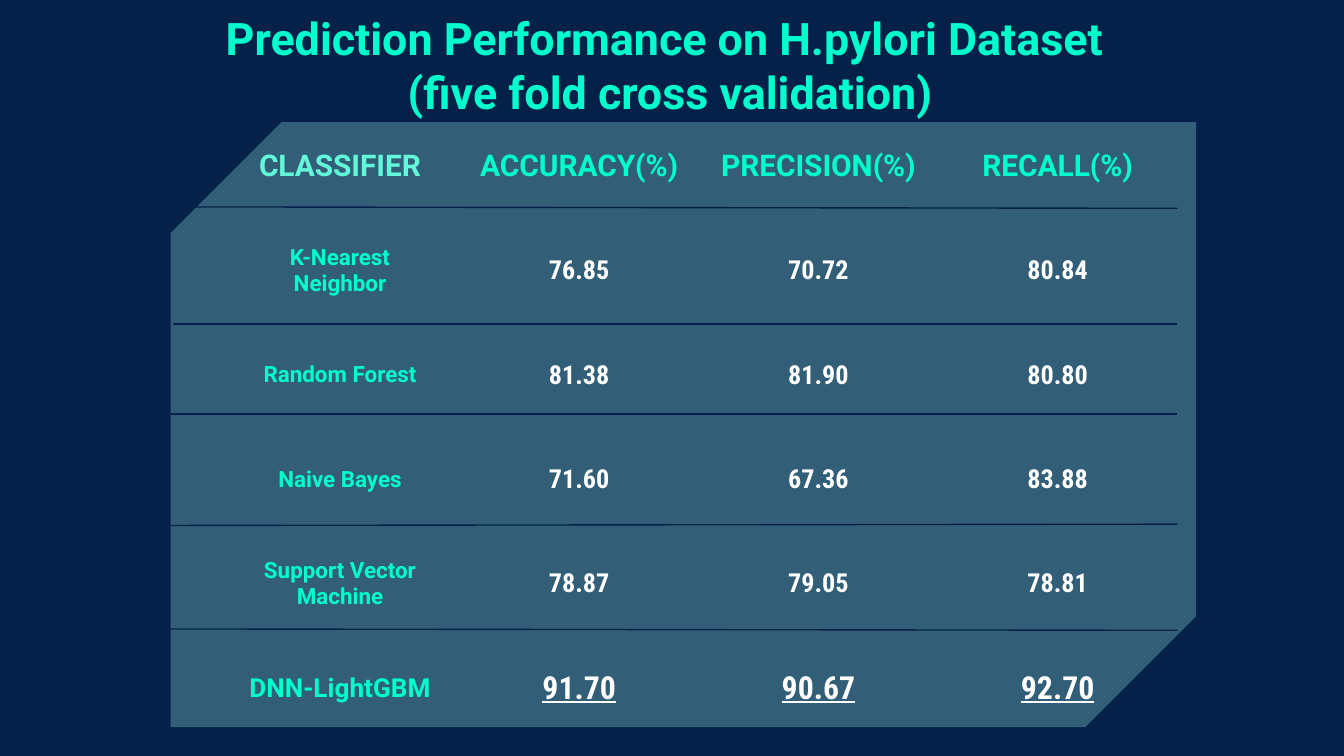
from lxml import etree
from pptx import Presentation
from pptx.dml.color import RGBColor
from pptx.enum.shapes import MSO_CONNECTOR as Connector, MSO_SHAPE as Shape
from pptx.enum.text import MSO_ANCHOR as Anchor, PP_ALIGN as Align
from pptx.oxml.ns import qn
from pptx.util import Inches, Pt

COLORS = {"navy": "05214A", "panel": "AAFFEE", "mint": "00FFCD",
          "pale": "62F8DA", "white": "FFFFFF"}
NO_GRID_STYLE = "{2D5ABB26-0587-4C30-8999-92F81FD0307C}"

TITLE = ["Prediction Performance on H.pylori Dataset ", "(five fold cross validation)"]
HEADERS = ["CLASSIFIER", "ACCURACY(%)", "PRECISION(%)", "RECALL(%)"]
RESULTS = [
    (["K-Nearest", "Neighbor"], "76.85", "70.72", "80.84"),
    (["Random Forest"], "81.38", "81.90", "80.80"),
    (["Naive Bayes"], "71.60", "67.36", "83.88"),
    (["Support Vector", "Machine"], "78.87", "79.05", "78.81"),
    (["DNN-LightGBM"], "91.70", "90.67", "92.70"),
]
RULE_RIGHT = 8.76
RULES = [(1.29, 2.41, 2.41), (1.24, 3.91, 3.9), (1.25, 4.68, 4.69),
         (1.46, 1.54, 1.55), (1.27, 3.08, 3.08)]
SLIDE_WIDTH = 10
COLUMN_WIDTH, TABLE_HEIGHT = 1.78, 4.66


def rgb(name):
    return RGBColor.from_string(COLORS[name])


def write(frame, lines, size, color="mint", font="Roboto", underline=None):
    for index, line in enumerate(lines):
        para = frame.paragraphs[0] if index == 0 else frame.add_paragraph()
        para.alignment = Align.CENTER
        span = para.add_run()
        span.text = line
        span.font.size = Pt(size)
        span.font.name = font
        span.font.bold = True
        span.font.underline = underline
        span.font.color.rgb = rgb(color)


def set_margins(target):
    target.margin_left = target.margin_right = Inches(0.1)
    target.margin_top = target.margin_bottom = Inches(0.1)


def add_panel(page):
    panel = page.shapes.add_shape(Shape.SNIP_2_DIAG_RECTANGLE, Inches(1.27), Inches(0.91),
                                  Inches(7.63), Inches(4.5))
    panel.adjustments[0] = 0.183
    panel.adjustments[1] = 0
    panel.shadow.inherit = False
    panel.line.fill.background()
    panel.fill.solid()
    panel.fill.fore_color.rgb = rgb("panel")
    color = panel.fill._xPr.find(".//" + qn("a:srgbClr"))
    etree.SubElement(color, qn("a:alpha")).set("val", "28000")


def add_title(page):
    box = page.shapes.add_textbox(Inches(1.17), Inches(-0.02), Inches(7.63), Inches(0.85))
    frame = box.text_frame
    frame.word_wrap = True
    frame.vertical_anchor = Anchor.TOP
    set_margins(frame)
    write(frame, TITLE, 24)


def add_results(page):
    row_count, column_count = len(RESULTS) + 1, len(HEADERS)
    holder = page.shapes.add_table(row_count, column_count, Inches(1.64), Inches(0.85),
                                   Inches(COLUMN_WIDTH * column_count),
                                   Inches(TABLE_HEIGHT))
    table = holder.table
    table.first_row = table.horz_banding = False
    table._tbl.tblPr.find(qn("a:tableStyleId")).text = NO_GRID_STYLE
    for column in table.columns:
        column.width = Inches(COLUMN_WIDTH)
    for row in table.rows:
        row.height = Inches(TABLE_HEIGHT / row_count)
    for cell in table.iter_cells():
        cell.fill.background()
        cell.vertical_anchor = Anchor.MIDDLE
        set_margins(cell)
    for column, header in enumerate(HEADERS):
        write(table.cell(0, column).text_frame, [header], 16, "mint" if column else "pale")
    for row, (classifier, *scores) in enumerate(RESULTS, 1):
        best = row == len(RESULTS)
        write(table.cell(row, 0).text_frame, classifier, 14 if best else 12)
        for column, score in enumerate(scores, 1):
            write(table.cell(row, column).text_frame, [score], 17 if best else 14,
                  "white", "Roboto Condensed", best or None)


def add_rules(page):
    for left, start, end in RULES:
        rule = page.shapes.add_connector(Connector.STRAIGHT, Inches(left), Inches(start),
                                         Inches(RULE_RIGHT), Inches(end))
        rule.line.color.rgb = rgb("navy")
        rule.line.width = Pt(0.75)
        etree.SubElement(rule._element.spPr, qn("a:effectLst"))


def main():
    deck = Presentation()
    deck.slide_width = Inches(SLIDE_WIDTH)
    deck.slide_height = Inches(SLIDE_WIDTH * 9 / 16)
    page = deck.slides.add_slide(deck.slide_layouts[6])
    page.background.fill.solid()
    page.background.fill.fore_color.rgb = rgb("navy")
    add_panel(page)
    add_title(page)
    add_results(page)
    add_rules(page)
    deck.save("out.pptx")


if __name__ == "__main__":
    main()
